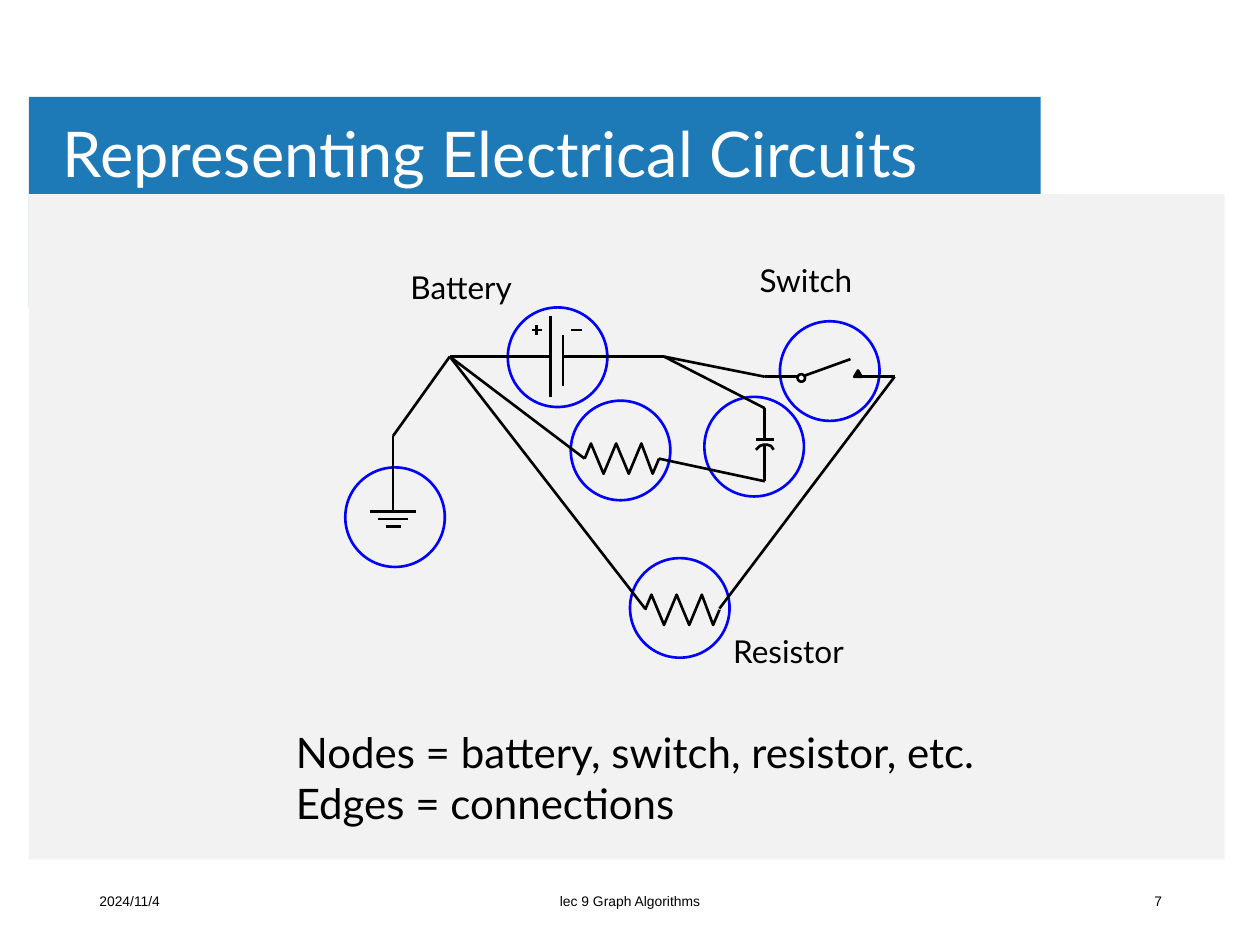
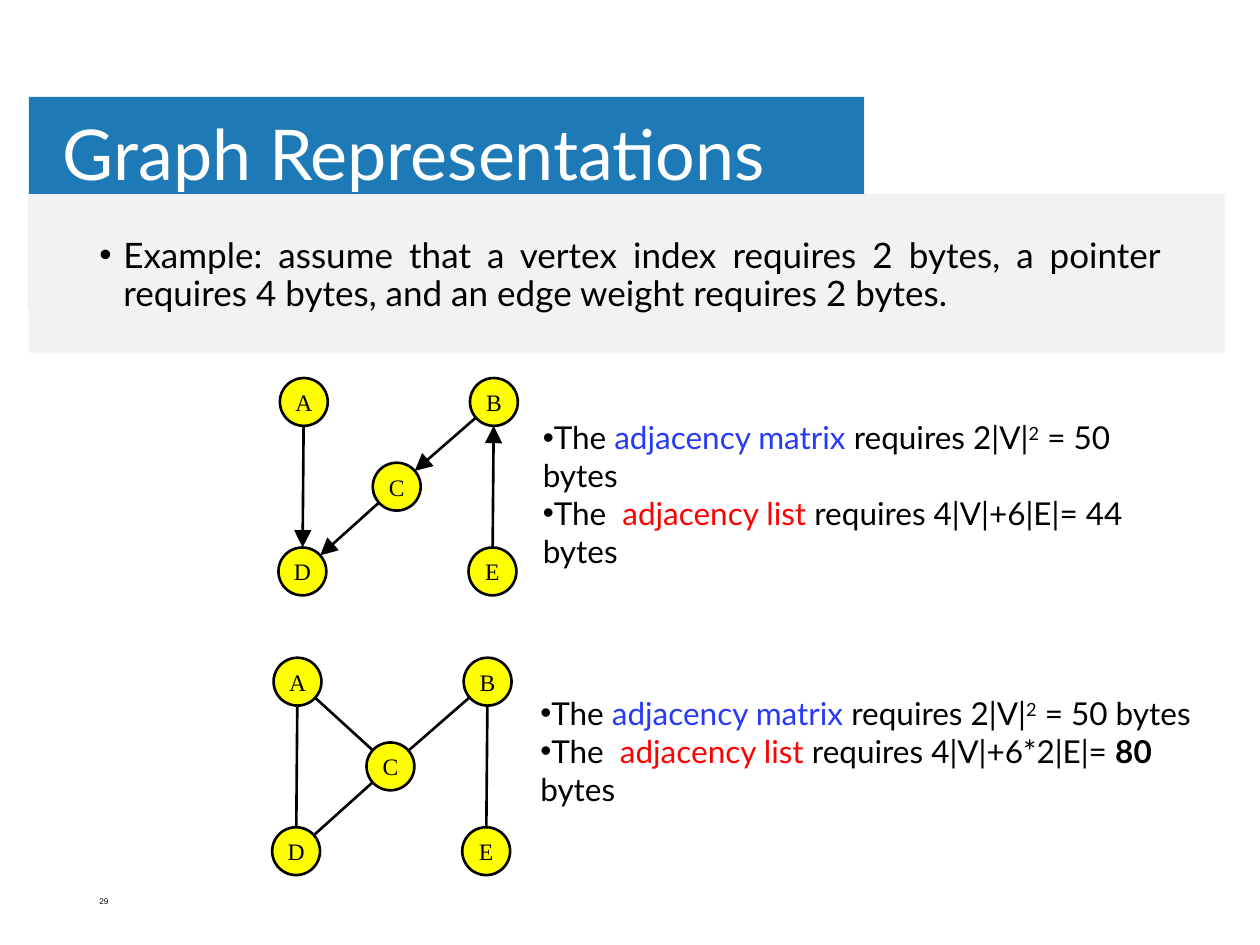
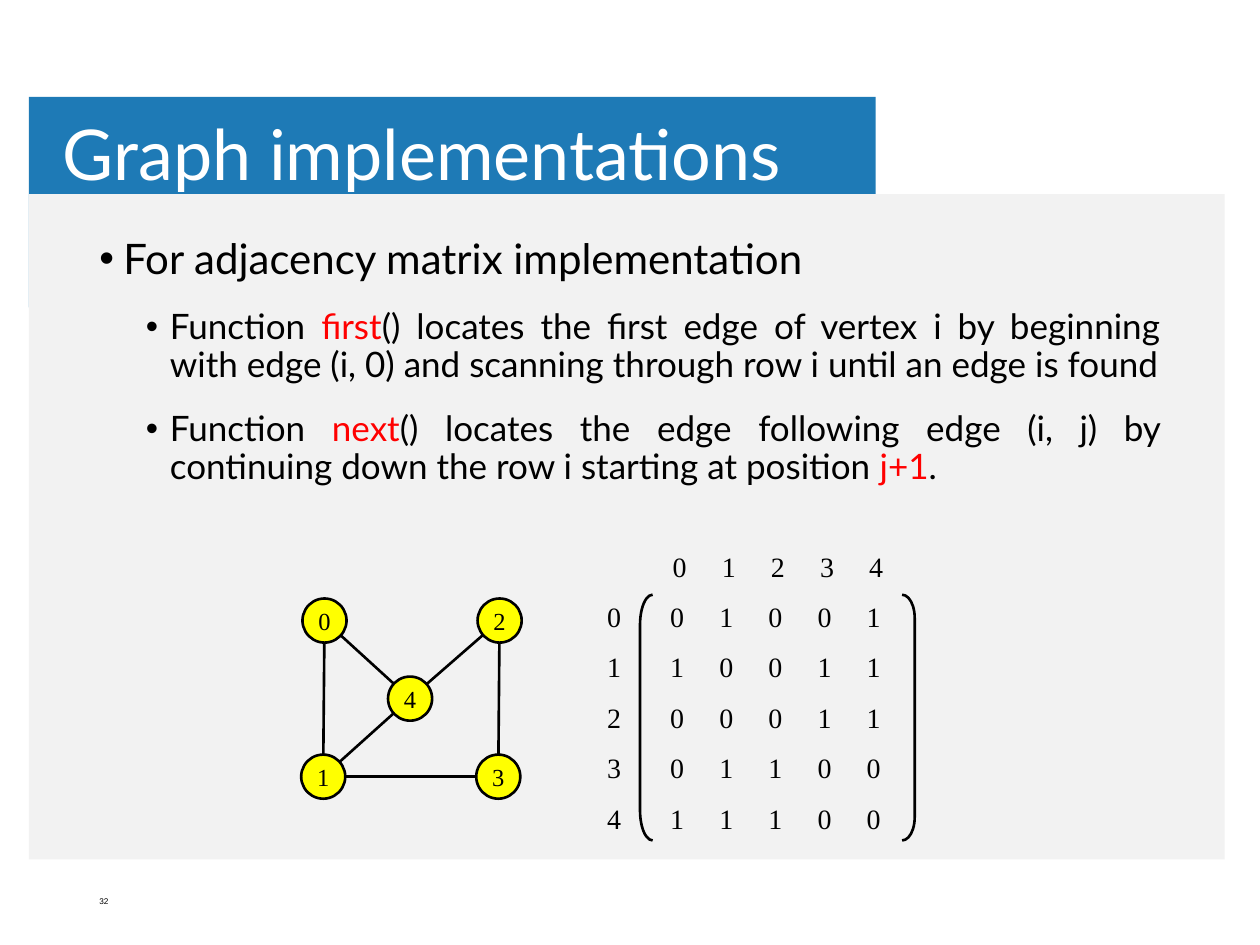
from dataclasses import dataclass
from math import hypot

from lxml import etree
from pptx import Presentation
from pptx.dml.color import RGBColor
from pptx.enum.shapes import MSO_CONNECTOR, MSO_SHAPE
from pptx.enum.text import MSO_ANCHOR, PP_ALIGN
from pptx.oxml.ns import qn
from pptx.util import Inches, Pt

RECTANGLE, OVAL = MSO_SHAPE.RECTANGLE, MSO_SHAPE.OVAL
TRIANGLE = MSO_SHAPE.ISOSCELES_TRIANGLE
LEFT_BRACKET, RIGHT_BRACKET = MSO_SHAPE.LEFT_BRACKET, MSO_SHAPE.RIGHT_BRACKET
STRAIGHT = MSO_CONNECTOR.STRAIGHT
TOP, MIDDLE = MSO_ANCHOR.TOP, MSO_ANCHOR.MIDDLE
LEFT, CENTER, RIGHT, JUSTIFY = (
    PP_ALIGN.LEFT, PP_ALIGN.CENTER, PP_ALIGN.RIGHT, PP_ALIGN.JUSTIFY)


@dataclass(frozen=True)
class Theme:
    band: str = "1E7AB6"
    panel: str = "F2F2F2"
    white: str = "FFFFFF"
    ink: str = "000000"
    ring: str = "0000FF"
    node: str = "FFFF00"
    blue: str = "263AF8"
    red: str = "FF0000"
    sans: str = "Lato"
    serif: str = "Times New Roman"
    footer: str = "Arial"
    long_title: float = 36
    title: float = 40
    lead: float = 24
    body: float = 20
    label: float = 18
    matrix: float = 16
    date: float = 7.9
    number: float = 4.7
    stroke: float = 1.5


THEME = Theme()

# The slide is a grid of 1000 columns by 750 rows; every length counts cells.
deck = Presentation()
deck.slide_width, deck.slide_height = Inches(10), Inches(7.5)
CELL = deck.slide_width // 1000


def paint(shape, fill=None, line=None):
    """Give a shape a flat fill and outline; None means there is none."""
    shape.shadow.inherit = False
    if fill:
        shape.fill.solid()
        shape.fill.fore_color.rgb = RGBColor.from_string(fill)
    else:
        shape.fill.background()
    if line:
        shape.line.color.rgb = RGBColor.from_string(line)
        shape.line.width = Pt(THEME.stroke)
    else:
        shape.line.fill.background()
    return shape


def write(box, paragraphs, size, name=THEME.sans, color=THEME.ink,
          anchor=TOP, wrap=True, margins=(10, 5)):
    """Fill a box with (format, spans) pairs; a span is (text, format)."""
    frame = box.text_frame
    side, edge = (CELL * margin for margin in margins)
    frame_format = {
        "word_wrap": wrap, "vertical_anchor": anchor,
        "margin_left": side, "margin_right": side,
        "margin_top": edge, "margin_bottom": edge}
    for key, value in frame_format.items():
        setattr(frame, key, value)
    for index, (para_format, spans) in enumerate(paragraphs):
        para = frame.add_paragraph() if index else frame.paragraphs[0]
        settings = dict(para_format)
        properties = para._p.get_or_add_pPr()
        bullet = settings.pop("bullet", None)
        if bullet:
            for key, cells in zip(("marL", "indent"), bullet):
                properties.set(key, str(CELL * cells))
            etree.SubElement(properties, qn("a:buFont"), typeface="Arial")
            etree.SubElement(properties, qn("a:buChar"), char="•")
        stops = settings.pop("tabs", None)
        if stops:
            tab_list = etree.SubElement(properties, qn("a:tabLst"))
            for stop in stops:
                etree.SubElement(tab_list, qn("a:tab"), pos=str(CELL * stop), algn="l")
        for key, value in settings.items():
            setattr(para, key, value)
        for text, span_format in spans:
            span = para.add_run()
            span.text = text
            look = {"name": name, "size": size, "color": color, **span_format}
            span.font.color.rgb = RGBColor.from_string(look.pop("color"))
            if look.pop("superscript", False):
                span._r.get_or_add_rPr().set("baseline", "30000")
            look["size"] = Pt(look["size"])
            for key, value in look.items():
                setattr(span.font, key, value)


# Band, panel and title of every slide
slides = []
for title, title_size, band_width, panel_height in (
        ("Representing Electrical Circuits", THEME.long_title, 803, 528),
        ("Graph Representations", THEME.title, 663, 126),
        ("Graph implementations", THEME.title, 672, 528)):
    slide = deck.slides.add_slide(deck.slide_layouts[6])
    slides.append(slide)
    for place, fill in (((23, 77, band_width, 167), THEME.band),
                        ((23, 154, 949, panel_height), THEME.panel)):
        paint(slide.shapes.add_shape(RECTANGLE, *(CELL * v for v in place)), fill)
    box = slide.shapes.add_textbox(*(CELL * v for v in (43, 76, 803, 98)))
    write(box, [({"line_spacing": 0.9}, [(title, {})])], title_size,
          color=THEME.white, anchor=MIDDLE, margins=(7, 4))
circuit, sizes, matrix = slides

# Footers
for slide, left, width, align, text, size in (
        (circuit, 69, 225, LEFT, "2024/11/4", THEME.date),
        (circuit, 331, 338, CENTER, "lec 9 Graph Algorithms", THEME.date),
        (circuit, 707, 225, RIGHT, "7", THEME.date),
        (sizes, 69, 225, LEFT, "29", THEME.number),
        (matrix, 69, 225, LEFT, "32", THEME.number)):
    box = slide.shapes.add_textbox(*(CELL * v for v in (left, 695, width, 40)))
    write(box, [({"alignment": align}, [(text, {})])], size,
          name=THEME.footer, anchor=MIDDLE)

# Running text and labels
BLUE, RED = {"color": THEME.blue}, {"color": THEME.red}
LEAD = {"line_spacing": 0.9, "bullet": (19, -19)}
POINT = {"line_spacing": 0.9, "bullet": (56, -19), "level": 1,
         "alignment": JUSTIFY, "space_before": Pt(15)}
FLUSH = {"bullet": (0, 0)}
matrix_cost = (FLUSH, [
    ("The ", {}), ("adjacency matrix ", BLUE), ("requires 2|V|", {}),
    ("2", {"superscript": True}), (" = 50 bytes", {})])
for slide, place, size, paragraphs in (
        (circuit, (225, 572, 653, 91), THEME.lead, [
            ({}, [("Nodes = battery, switch, resistor, etc.", {})]),
            ({}, [("Edges = connections", {})])]),
        (circuit, (316, 208, 107, 40), THEME.label, [({}, [("Battery", {})])]),
        (circuit, (593, 202, 101, 40), THEME.label, [({}, [("Switch", {})])]),
        (circuit, (572, 497, 117, 40), THEME.label, [({}, [("Resistor", {})])]),
        (sizes, (69, 184, 862, 90), THEME.body, [
            ({**LEAD, "alignment": JUSTIFY}, [
                ("Example: assume that a vertex index requires 2 bytes, a pointer "
                 "requires 4 bytes, and an edge weight requires 2 bytes.", {})])]),
        (sizes, (421, 327, 527, 131), THEME.label, [
            matrix_cost,
            (FLUSH, [("The  ", {}), ("adjacency list ", RED),
                     ("requires 4|V|+6|E|= 44 bytes", {})])]),
        (sizes, (419, 546, 537, 131), THEME.label, [
            matrix_cost,
            (FLUSH, [("The  ", {}), ("adjacency list", RED),
                     (" requires 4|V|+6*2|E|= ", {}),
                     ("80 ", {"bold": True}), ("bytes", {})])]),
        (matrix, (69, 184, 862, 262), THEME.body, [
            (LEAD, [("For adjacency matrix implementation", {"size": THEME.lead})]),
            (POINT, [
                ("Function ", {}), ("first", RED),
                ("() locates the first edge of vertex i by beginning with edge "
                 "(i, 0) and scanning through row i until an edge is found", {})]),
            (POINT, [
                ("Function ", {}), ("next", RED),
                ("() locates the edge following edge (i, j) by continuing down "
                 "the row i starting at position ", {}),
                ("j+1", RED), (".", {})])])):
    box = slide.shapes.add_textbox(*(CELL * v for v in place))
    write(box, paragraphs, size)

# Circuit: resistors and capacitor plate as open outlines
zigzag = [(0, 12), (5, 0), (15, 24), (25, 0), (35, 24), (45, 0), (54, 24), (59, 12)]
plate = [(0, 4), (3, 1), (6, 0), (9, 0), (12, 1), (14, 4)]
for left, top, points in ((464, 352, zigzag), (512, 472, zigzag), (600, 353, plate)):
    start, *rest = [(left + x, top + y) for x, y in points]
    outline = circuit.shapes.build_freeform(*start, scale=CELL)
    outline.add_line_segments(rest, close=False)
    paint(outline.convert_to_shape(), line=THEME.ink)

# Switch contacts, then a ring around each component
for kind, place, fill in ((OVAL, (633, 297, 6, 6), THEME.white),
                          (TRIANGLE, (678, 294, 6, 5), THEME.ink)):
    paint(circuit.shapes.add_shape(kind, *(CELL * v for v in place)), fill, THEME.ink)
RING = 79
for left, top in ((453, 318), (500, 443), (403, 244), (619, 255), (559, 315), (274, 371)):
    place = (left, top, RING, RING)
    paint(circuit.shapes.add_shape(OVAL, *(CELL * v for v in place)), line=THEME.ring)

# Straight lines: (slide, start, end, has arrowhead)
fork, joint, ground, switch_out = (357, 283), (527, 283), (312, 346), (710, 299)
capacitor_end, switch_in = (607, 382), (607, 299)
lines = [(circuit, start, end, False) for start, end in (
    ((306, 418), (318, 418)), ((300, 412), (324, 412)), ((294, 406), (330, 406)),
    (ground, (312, 406)), (fork, ground),
    (fork, (436, 283)), ((447, 283), joint),
    ((437, 251), (437, 315)), ((447, 266), (447, 306)),
    ((426, 258), (426, 266)), ((422, 262), (430, 262)), ((453, 262), (462, 262)),
    ((600, 349), (614, 349)), (capacitor_end, (607, 353)), ((607, 349), (607, 324)),
    (switch_in, (633, 299)), ((684, 299), switch_out), ((639, 298), (675, 285)),
    ((464, 364), fork), ((512, 483), fork), (joint, (607, 324)),
    (capacitor_end, (523, 364)), (switch_in, joint), (switch_out, (571, 483)))]

# Graphs: five spots, measured in node diameters from the left and the top
SPOTS = ((0.03, 0), (4, 0), (1.97, 1.77), (0, 3.54), (3.97, 3.54))
for slide, left, top, diameter, size, names, edges, arrow in (
        (sizes, 221, 300, 38, 13.5, "ABCDE", "AD BC CD EB", True),
        (sizes, 216, 522, 38, 13.5, "ABCDE", "AC AD BC BE CD", False),
        (matrix, 239, 475, 35, 14, "02413", "01 04 24 23 14 13", False)):
    centres = {}
    for name, (across, down) in zip(names, SPOTS):
        x, y = left + across * diameter, top + down * diameter
        centres[name] = (x + diameter / 2, y + diameter / 2)
        place = (x, y, diameter, diameter)
        node = paint(slide.shapes.add_shape(OVAL, *(round(CELL * v) for v in place)),
                     THEME.node, THEME.ink)
        write(node, [({"alignment": CENTER}, [(name, {})])], size,
              name=THEME.serif, anchor=MIDDLE, wrap=False, margins=(0, 0))
    for first, last in edges.split():
        (x1, y1), (x2, y2) = centres[first], centres[last]
        share = diameter / 2 / hypot(x2 - x1, y2 - y1)
        dx, dy = (x2 - x1) * share, (y2 - y1) * share
        lines.append((slide, (x1 + dx, y1 + dy), (x2 - dx, y2 - dy), arrow))

for slide, start, end, arrow in lines:
    ends = (round(CELL * v) for v in (*start, *end))
    connector = slide.shapes.add_connector(STRAIGHT, *ends)
    connector.line.color.rgb = RGBColor.from_string(THEME.ink)
    connector.line.width = Pt(THEME.stroke)
    properties = connector._element.spPr
    if arrow:
        etree.SubElement(properties.find(qn("a:ln")), qn("a:tailEnd"),
                         type="triangle", w="lg", len="lg")
    etree.SubElement(properties, qn("a:effectLst"))

# Adjacency matrix: column heads, then one labelled row per vertex
for kind, left, bend in ((LEFT_BRACKET, 508, 2.38), (RIGHT_BRACKET, 716, 1.83)):
    place = (left, 472, 10, 195)
    bracket = paint(matrix.shapes.add_shape(kind, *(CELL * v for v in place)),
                    line=THEME.ink)
    bracket.adjustments[0] = bend
STEP, ROW = 39, 40
heads = [((524, 431, 194, 37), "01234", [STEP * i for i in range(1, 5)])]
rows = [((472, 471 + ROW * i, 245, 37), f"{i}{values}", [50 + STEP * j for j in range(5)])
        for i, values in enumerate(("01001", "10011", "00011", "01100", "11100"))]
for place, digits, stops in heads + rows:
    box = matrix.shapes.add_textbox(*(CELL * v for v in place))
    write(box, [({"tabs": stops}, [("\t".join(digits), {})])], THEME.matrix,
          name=THEME.serif)

deck.save("out.pptx")
